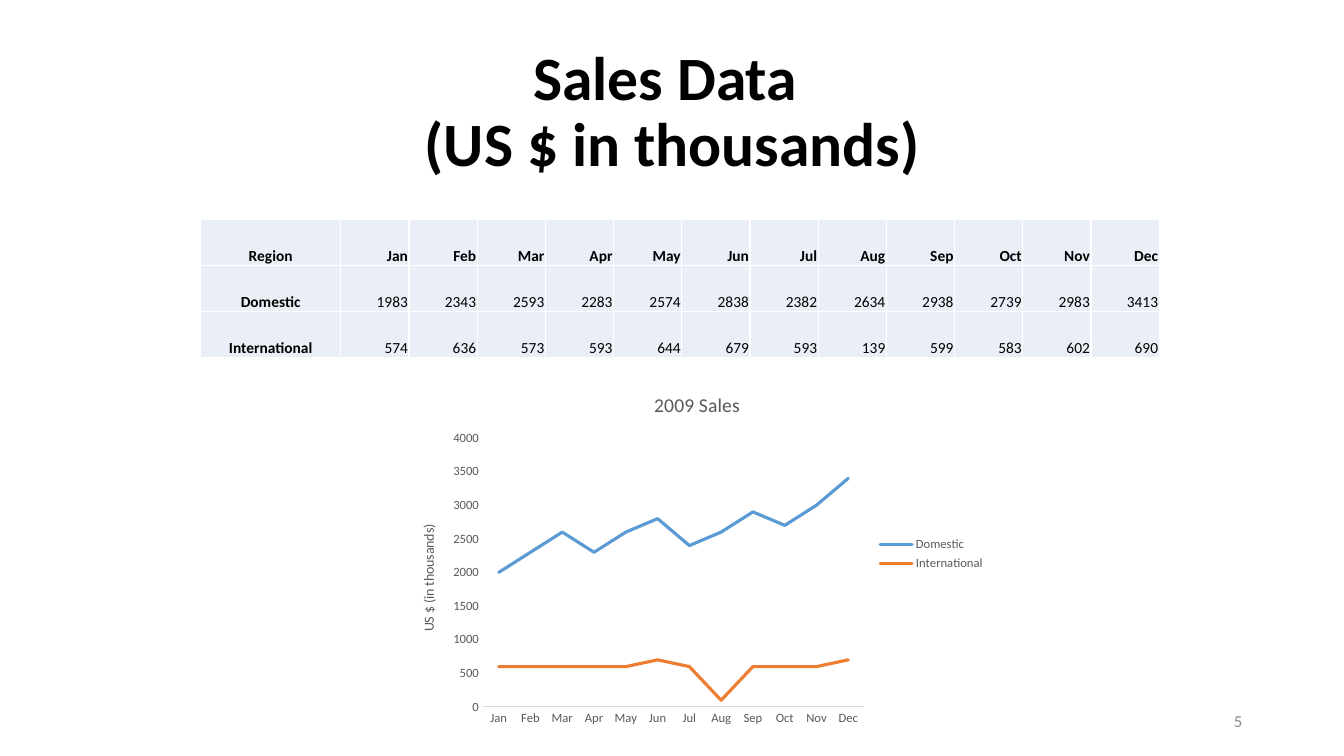
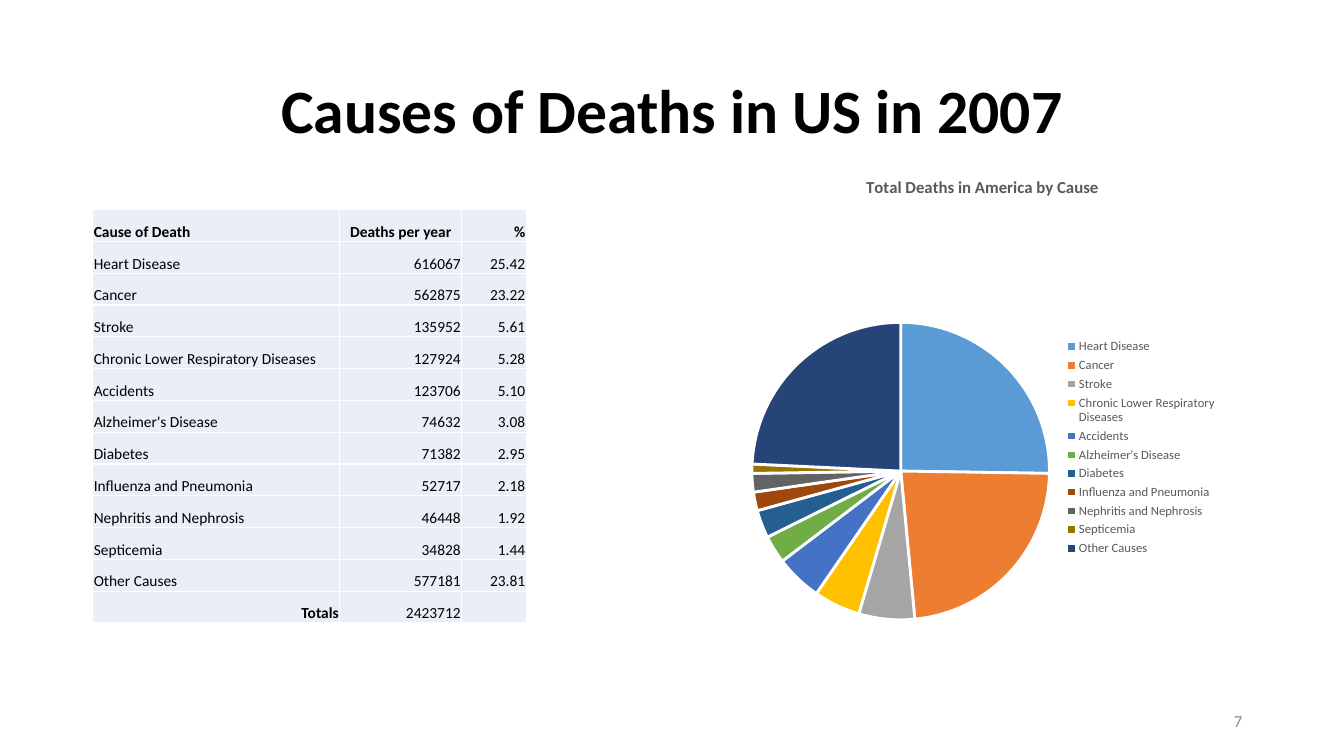
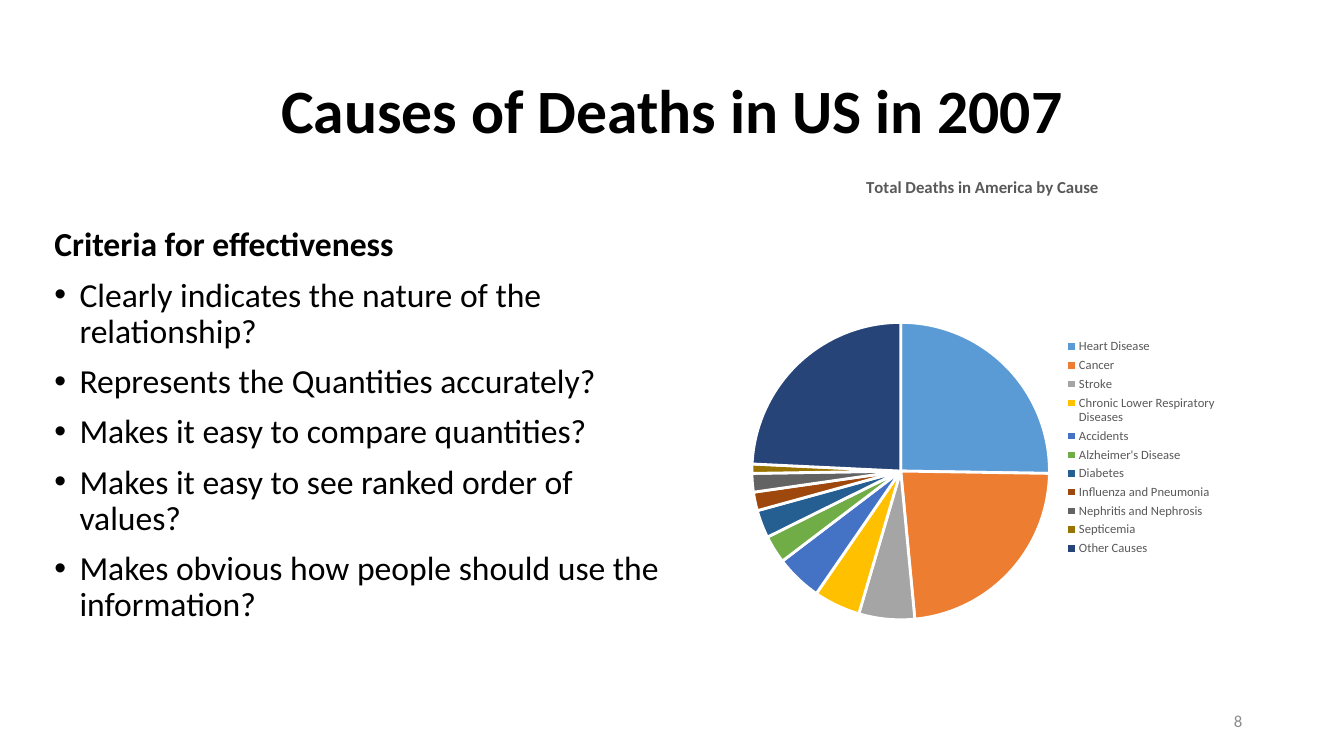
from dataclasses import dataclass
from typing import NamedTuple

from lxml.etree import SubElement
from pptx import Presentation
from pptx.chart.data import CategoryChartData
from pptx.dml.color import RGBColor
from pptx.enum.chart import XL_CHART_TYPE as ChartType
from pptx.enum.chart import XL_LEGEND_POSITION as LegendPosition
from pptx.enum.chart import XL_TICK_MARK as TickMark
from pptx.enum.text import MSO_ANCHOR as Anchor
from pptx.enum.text import PP_ALIGN as Align
from pptx.oxml.ns import qn
from pptx.util import Inches, Pt

FONT = "Calibri"
COLORS = {
    "text": "000000",
    "muted": "595959",
    "footer": "8C8C8C",
    "cell": "EAEFF7",
    "white": "FFFFFF",
    "axis": "D9D9D9",
}
REGION_COLORS = ["5B9BD5", "ED7D31"]
CAUSE_COLORS = [
    "5B9BD5", "ED7D31", "A5A5A5", "FFC000", "4472C4", "70AD47",
    "255E91", "9E480E", "636363", "997300", "264478",
]

MONTHS = ["Jan", "Feb", "Mar", "Apr", "May", "Jun",
          "Jul", "Aug", "Sep", "Oct", "Nov", "Dec"]
SALES = {
    "Domestic": [1983, 2343, 2593, 2283, 2574, 2838, 2382, 2634, 2938, 2739, 2983, 3413],
    "International": [574, 636, 573, 593, 644, 679, 593, 139, 599, 583, 602, 690],
}


class Cause(NamedTuple):
    name: str
    deaths: int
    percent: float


CAUSES = [
    Cause("Heart Disease", 616067, 25.42),
    Cause("Cancer", 562875, 23.22),
    Cause("Stroke", 135952, 5.61),
    Cause("Chronic Lower Respiratory Diseases", 127924, 5.28),
    Cause("Accidents", 123706, 5.10),
    Cause("Alzheimer's Disease", 74632, 3.08),
    Cause("Diabetes", 71382, 2.95),
    Cause("Influenza and Pneumonia", 52717, 2.18),
    Cause("Nephritis and Nephrosis", 46448, 1.92),
    Cause("Septicemia", 34828, 1.44),
    Cause("Other Causes", 577181, 23.81),
]
CRITERIA = [
    "Clearly indicates the nature of the relationship?",
    "Represents the Quantities accurately?",
    "Makes it easy to compare quantities?",
    "Makes it easy to see ranked order of \vvalues?",
    "Makes obvious how people should use the information?",
]


@dataclass(frozen=True)
class Box:
    left: float
    top: float
    width: float
    height: float

    def lengths(self) -> tuple:
        return tuple(Inches(v) for v in (self.left, self.top, self.width, self.height))


class Cell(NamedTuple):
    text: str
    align: Align = Align.RIGHT
    bold: bool = False


TITLE_BOX = Box(0.92, 0.4, 11.5, 1.45)
NUMBER_BOX = Box(9.42, 6.95, 3, 0.4)
SALES_TABLE_BOX = Box(1.99, 2.18, 9.51, 1.37)
SALES_CHART_BOX = Box(3.96, 3.72, 5.91, 3.55)
CAUSE_TABLE_BOX = Box(0.92, 2.08, 4.3, 4.1)
CAUSE_CHART_BOX = Box(7.32, 1.54, 4.85, 5.8)
CRITERIA_BOX = Box(0.44, 2.21, 6.69, 4.76)


def style_font(font, size: float, color: str, bold: bool = False) -> None:
    font.name = FONT
    font.size = Pt(size)
    font.bold = bold
    font.color.rgb = RGBColor.from_string(COLORS[color])


def add_frame(slide, box: Box, anchor: Anchor):
    frame = slide.shapes.add_textbox(*box.lengths()).text_frame
    frame.word_wrap = True
    frame.vertical_anchor = anchor
    return frame


def add_slide(deck, title: str, number: int):
    slide = deck.slides.add_slide(deck.slide_layouts[6])
    heading = add_frame(slide, TITLE_BOX, Anchor.MIDDLE).paragraphs[0]
    heading.text = title
    heading.alignment = Align.CENTER
    heading.line_spacing = 0.9
    style_font(heading.font, 44, "text", True)
    footer = add_frame(slide, NUMBER_BOX, Anchor.MIDDLE).paragraphs[0]
    footer.text = str(number)
    footer.alignment = Align.RIGHT
    style_font(footer.font, 12, "footer")
    return slide


def add_borders(cell) -> None:
    properties = cell._tc.get_or_add_tcPr()
    for side in ("a:lnL", "a:lnR", "a:lnT", "a:lnB"):
        line = SubElement(properties, qn(side), w=str(Pt(1)))
        fill = SubElement(line, qn("a:solidFill"))
        SubElement(fill, qn("a:srgbClr"), val=COLORS["white"])


def add_data_table(slide, box: Box, widths: list[float], rows: list[list[Cell]]) -> None:
    table = slide.shapes.add_table(len(rows), len(widths), *box.lengths()).table
    for column, width in zip(table.columns, widths):
        column.width = Inches(width)
    for r, row in enumerate(rows):
        for c, content in enumerate(row):
            cell = table.cell(r, c)
            cell.margin_left = cell.margin_right = cell.margin_top = Inches(0.01)
            cell.margin_bottom = 0
            cell.vertical_anchor = Anchor.BOTTOM
            add_borders(cell)
            cell.fill.solid()
            cell.fill.fore_color.rgb = RGBColor.from_string(COLORS["cell"])
            entry = cell.text_frame.paragraphs[0]
            entry.text = content.text
            entry.alignment = content.align
            style_font(entry.font, 11, "text", content.bold)


def add_titled_chart(slide, kind: ChartType, box: Box, data: CategoryChartData,
                     title: str, size: float, bold: bool):
    chart = slide.shapes.add_chart(kind, *box.lengths(), data).chart
    style_font(chart.font, 10, "text")
    chart.has_title = True
    heading = chart.chart_title.text_frame.paragraphs[0]
    heading.text = title
    style_font(heading.font, size, "muted", bold)
    chart.chart_title.include_in_layout = False
    chart.has_legend = True
    chart.legend.position = LegendPosition.RIGHT
    chart.legend.include_in_layout = False
    style_font(chart.legend.font, 9, "muted")
    return chart


def add_sales_chart(slide) -> None:
    data = CategoryChartData()
    data.categories = MONTHS
    for region, amounts in SALES.items():
        data.add_series(region, [round(amount, -2) for amount in amounts])
    chart = add_titled_chart(slide, ChartType.LINE, SALES_CHART_BOX, data,
                             "2009 Sales", 14, False)
    for axis in (chart.category_axis, chart.value_axis):
        axis.has_major_gridlines = False
        axis.major_tick_mark = axis.minor_tick_mark = TickMark.NONE
        style_font(axis.tick_labels.font, 9, "muted")
    month_line = chart.category_axis.format.line
    month_line.color.rgb = RGBColor.from_string(COLORS["axis"])
    month_line.width = Pt(0.75)
    chart.value_axis.format.line.fill.background()
    unit = chart.value_axis.axis_title.text_frame.paragraphs[0]
    unit.text = "US $ (in thousands)"
    style_font(unit.font, 10, "muted")
    for series, color in zip(chart.plots[0].series, REGION_COLORS):
        series.smooth = False
        series.format.line.width = Pt(2.25)
        series.format.line.color.rgb = RGBColor.from_string(color)
        series._element.spPr.find(qn("a:ln")).set("cap", "rnd")


def add_cause_chart(slide) -> None:
    data = CategoryChartData()
    data.categories = [cause.name for cause in CAUSES]
    data.add_series("%", [round(cause.percent) for cause in CAUSES])
    chart = add_titled_chart(slide, ChartType.PIE, CAUSE_CHART_BOX, data,
                             "Total Deaths in America by Cause", 12, True)
    plot = chart.plots[0]
    plot.vary_by_categories = True
    for index, color in enumerate(CAUSE_COLORS):
        slice_format = plot.series[0].points[index].format
        slice_format.fill.solid()
        slice_format.fill.fore_color.rgb = RGBColor.from_string(color)
        slice_format.line.color.rgb = RGBColor.from_string(COLORS["white"])
        slice_format.line.width = Pt(2)


def add_criteria(slide) -> None:
    frame = add_frame(slide, CRITERIA_BOX, Anchor.TOP)
    heading = frame.paragraphs[0]
    heading.text = "Criteria for effectiveness"
    heading.line_spacing = 0.9
    style_font(heading.font, 24, "text", True)
    for criterion in CRITERIA:
        item = frame.add_paragraph()
        item.text = criterion
        item.line_spacing = 0.9
        item.space_before = Pt(10)
        properties = item._p.get_or_add_pPr()
        properties.set("marL", str(Inches(0.25)))
        properties.set("indent", str(-Inches(0.25)))
        SubElement(properties, qn("a:buFont"), typeface="Arial")
        SubElement(properties, qn("a:buChar"), char="•")
        style_font(item.font, 24, "text")


def sales_rows() -> list[list[Cell]]:
    header = [Cell("Region", Align.CENTER, True)]
    header += [Cell(month, bold=True) for month in MONTHS]
    return [header] + [
        [Cell(region, Align.CENTER, True)] + [Cell(str(amount)) for amount in amounts]
        for region, amounts in SALES.items()
    ]


def cause_rows() -> list[list[Cell]]:
    header = [
        Cell("Cause of Death", Align.LEFT, True),
        Cell("Deaths per year", Align.CENTER, True),
        Cell("%", bold=True),
    ]
    body = [
        [Cell(cause.name, Align.LEFT), Cell(str(cause.deaths)), Cell(f"{cause.percent:.2f}")]
        for cause in CAUSES
    ]
    total = sum(cause.deaths for cause in CAUSES)
    return [header, *body, [Cell("Totals", bold=True), Cell(str(total)), Cell("")]]


def main() -> None:
    deck = Presentation()
    deck.slide_width = Inches(13.33)
    deck.slide_height = Inches(7.5)

    sales = add_slide(deck, "Sales Data \v(US $ in thousands)", 5)
    region_width = 1.39
    month_width = (SALES_TABLE_BOX.width - region_width) / len(MONTHS)
    add_data_table(sales, SALES_TABLE_BOX,
                   [region_width] + [month_width] * len(MONTHS), sales_rows())
    add_sales_chart(sales)

    causes_title = "Causes of Deaths in US in 2007"
    causes = add_slide(deck, causes_title, 7)
    add_data_table(causes, CAUSE_TABLE_BOX, [2.45, 1.21, 0.64], cause_rows())
    add_cause_chart(causes)

    criteria = add_slide(deck, causes_title, 8)
    add_cause_chart(criteria)
    add_criteria(criteria)

    deck.save("out.pptx")


if __name__ == "__main__":
    main()
